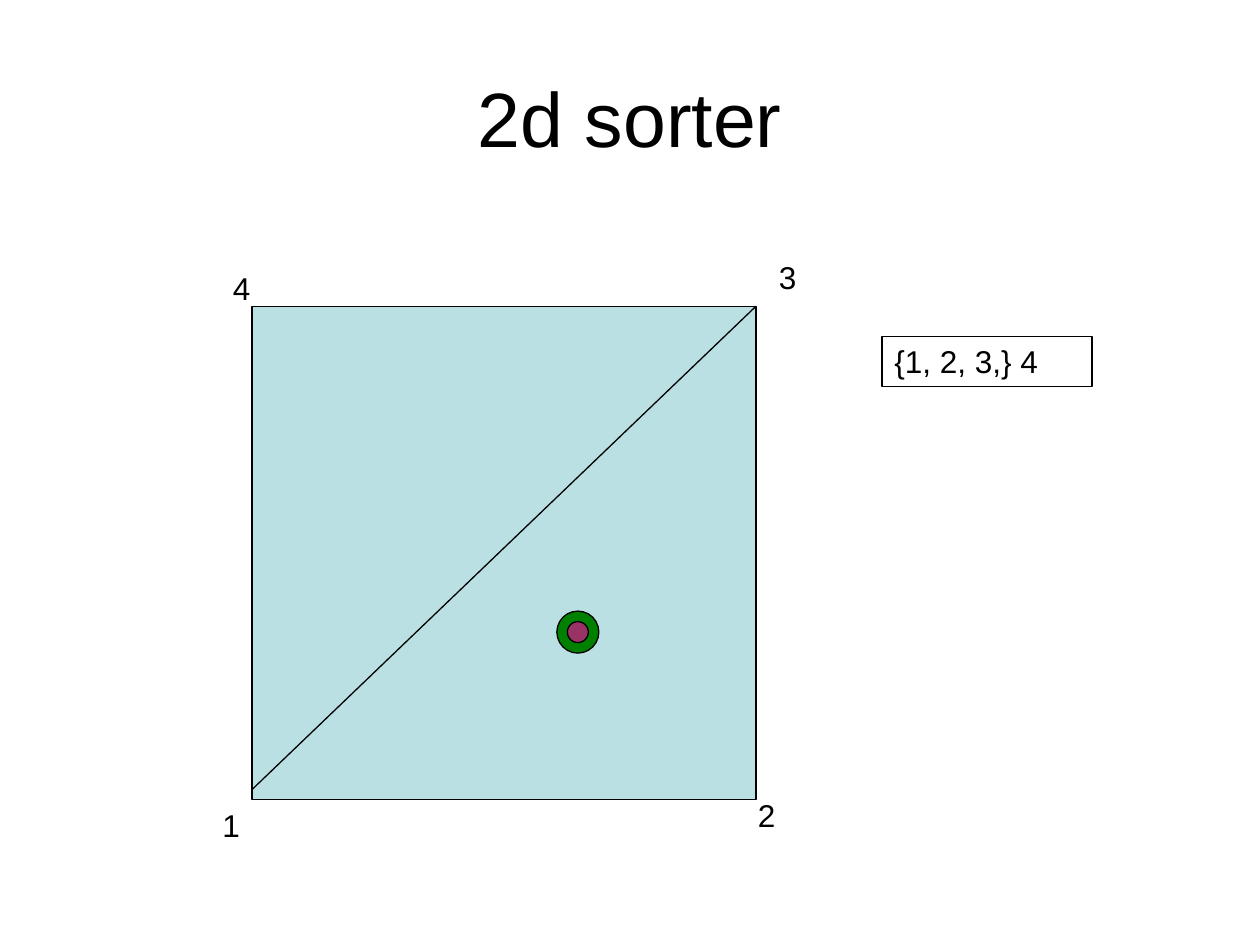
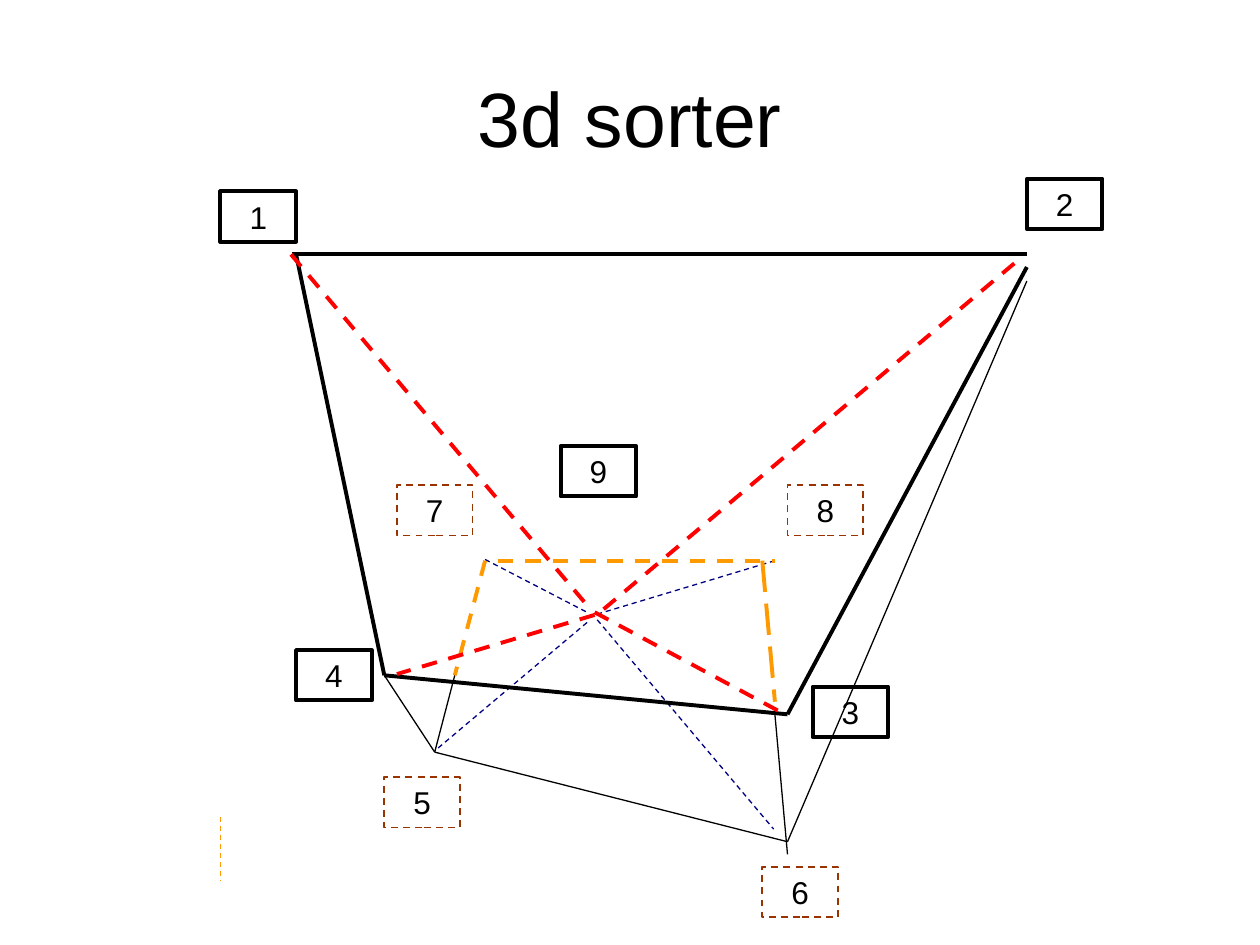
"""Build two slides that show a 2d sorter and a 3d sorter."""
from lxml import etree
from pptx import Presentation
from pptx.dml.color import RGBColor
from pptx.enum.dml import MSO_LINE
from pptx.enum.shapes import MSO_CONNECTOR, MSO_SHAPE
from pptx.enum.text import MSO_ANCHOR, PP_ALIGN
from pptx.oxml.ns import qn
from pptx.util import Pt

BLACK = RGBColor(0x00, 0x00, 0x00)
PALE = RGBColor(0xBB, 0xE0, 0xE3)
GREEN = RGBColor(0x00, 0x80, 0x00)
PLUM = RGBColor(0x99, 0x33, 0x66)
NAVY = RGBColor(0x00, 0x00, 0x80)
RED = RGBColor(0xFF, 0x00, 0x00)
AMBER = RGBColor(0xFF, 0x99, 0x00)
BROWN = RGBColor(0x99, 0x33, 0x00)
DASH, LONG = MSO_LINE.DASH, MSO_LINE.LONG_DASH
RECT, OVAL = MSO_SHAPE.RECTANGLE, MSO_SHAPE.OVAL
LEFT, MID = PP_ALIGN.LEFT, PP_ALIGN.CENTER
FONT = "Arial"
THIN, BOLD = 0.75, 2.25
HIGH = 28.8


def write(shape, text, size, align, anchor):
    """Put one styled line of text in a shape."""
    frame = shape.text_frame
    frame.text = text
    frame.word_wrap = True
    frame.vertical_anchor = anchor
    para = frame.paragraphs[0]
    para.alignment = align
    font = para.runs[0].font
    font.name, font.size, font.color.rgb = FONT, Pt(size), BLACK


def draw(slide, ends, color, width, dash=None):
    """Draw a straight line between two points."""
    line = slide.shapes.add_connector(MSO_CONNECTOR.STRAIGHT, *map(Pt, ends))
    line.line.color.rgb, line.line.width = color, Pt(width)
    line.line.dash_style = dash
    etree.SubElement(line._element.spPr, qn("a:effectLst"))


deck = Presentation()
deck.slide_width, deck.slide_height = Pt(720), Pt(540)
slides = []
for name in ("2d sorter", "3d sorter"):
    slide = deck.slides.add_slide(deck.slide_layouts[5])
    title = slide.shapes.title
    title.left, title.top, title.width, title.height = map(Pt, (36, 21.6, 648, 90))
    write(title, name, 44, MID, MSO_ANCHOR.MIDDLE)
    slides.append(slide)
flat, solid = slides

for kind, area, fill in (
    (RECT, (144, 175, 288, 282), PALE),
    (OVAL, (318.2, 349.2, 24, 24), GREEN),
    (OVAL, (324.2, 355.2, 12, 12), PLUM),
):
    shape = flat.shapes.add_shape(kind, *map(Pt, area))
    shape.shadow.inherit = False
    shape.fill.solid()
    shape.fill.fore_color.rgb = fill
    shape.line.color.rgb, shape.line.width = BLACK, Pt(THIN)
draw(flat, (432, 175, 144, 451.2), BLACK, THIN)

for text, x, y, wide in (
    ("1", 120, 457.2, 36),
    ("2", 426, 451.2, 48),
    ("3", 438, 144, 30),
    ("4", 126, 150, 30),
):
    label = flat.shapes.add_textbox(Pt(x), Pt(y), Pt(wide), Pt(HIGH))
    write(label, text, 18, LEFT, MSO_ANCHOR.TOP)

for color, width, dash, lines in (
    (NAVY, THIN, DASH, (
        (335.5, 355.7, 248.4, 429.1), (277.2, 319.7, 335.5, 349.9),
        (442.8, 320.4, 339.8, 351.4), (341.3, 354.2, 442.1, 473.8))),
    (BLACK, THIN, None, (
        (248.4, 429.8, 450, 481), (442.8, 408.2, 450, 488.2),
        (586.8, 160.6, 450, 481), (219.6, 385.9, 248.4, 429.8),
        (259.9, 385.9, 248.4, 429.8))),
    (BLACK, BOLD, None, (
        (169.2, 145.4, 219.6, 385.9), (167, 145.4, 586.8, 145.4),
        (586.8, 152.6, 450, 408.2), (219.6, 385.9, 450, 408.2))),
    (AMBER, BOLD, DASH, (
        (284.4, 320.4, 442.8, 320.4), (277.2, 320.4, 259.9, 385.9))),
    (AMBER, BOLD, LONG, ((435.6, 320.4, 442.8, 401),)),
    (AMBER, THIN, DASH, ((126, 466.6, 126, 503.3),)),
    (RED, BOLD, DASH, (
        (166.3, 145.4, 337.7, 348.5), (579.6, 150.5, 342, 350.6),
        (339.8, 351.4, 226.8, 385.2), (339.8, 349.9, 450, 409))),
):
    for ends in lines:
        draw(solid, ends, color, width, dash)

FRONT = (BLACK, BOLD, None)
BACK = (BROWN, 1, DASH)
for slide, text, x, y, wide, align, style in (
    (flat, "{1, 2, 3,} 4", 504, 192.2, 120, LEFT, (BLACK, THIN, None)),
    (solid, "1", 126, 109.4, 43.2, MID, FRONT),
    (solid, "2", 586.8, 102.2, 43.2, MID, FRONT),
    (solid, "3", 464.4, 392.4, 43.2, MID, FRONT),
    (solid, "4", 169.2, 371.5, 43.2, MID, FRONT),
    (solid, "5", 219.6, 444.2, 43.2, MID, BACK),
    (solid, "6", 435.6, 495.4, 43.2, MID, BACK),
    (solid, "7", 226.8, 277.2, 43.2, MID, BACK),
    (solid, "8", 450, 277.2, 43.2, MID, BACK),
    (solid, "9", 320.4, 254.9, 43.2, MID, FRONT),
):
    box = slide.shapes.add_shape(RECT, Pt(x), Pt(y), Pt(wide), Pt(HIGH))
    box.shadow.inherit = False
    box.fill.background()
    color, width, dash = style
    box.line.color.rgb, box.line.width = color, Pt(width)
    box.line.dash_style = dash
    write(box, text, 18, align, MSO_ANCHOR.TOP)

deck.save("out.pptx")
